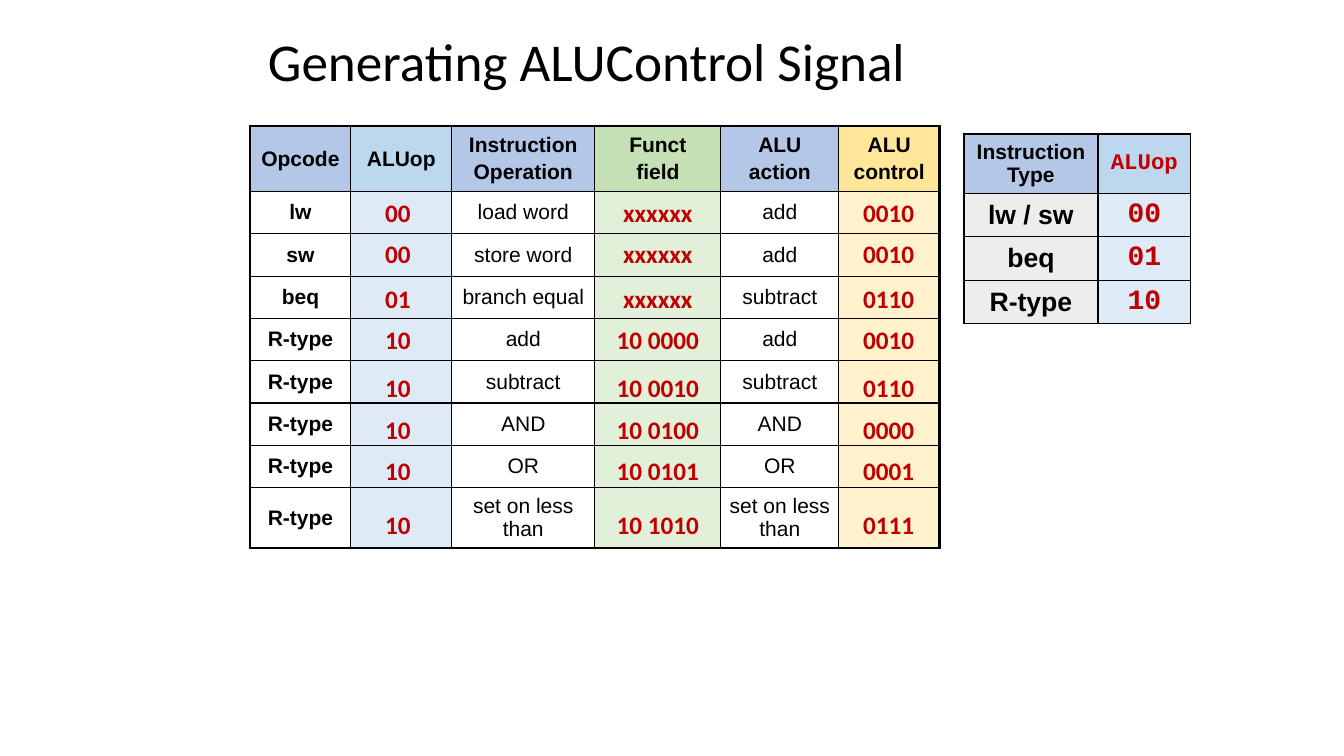
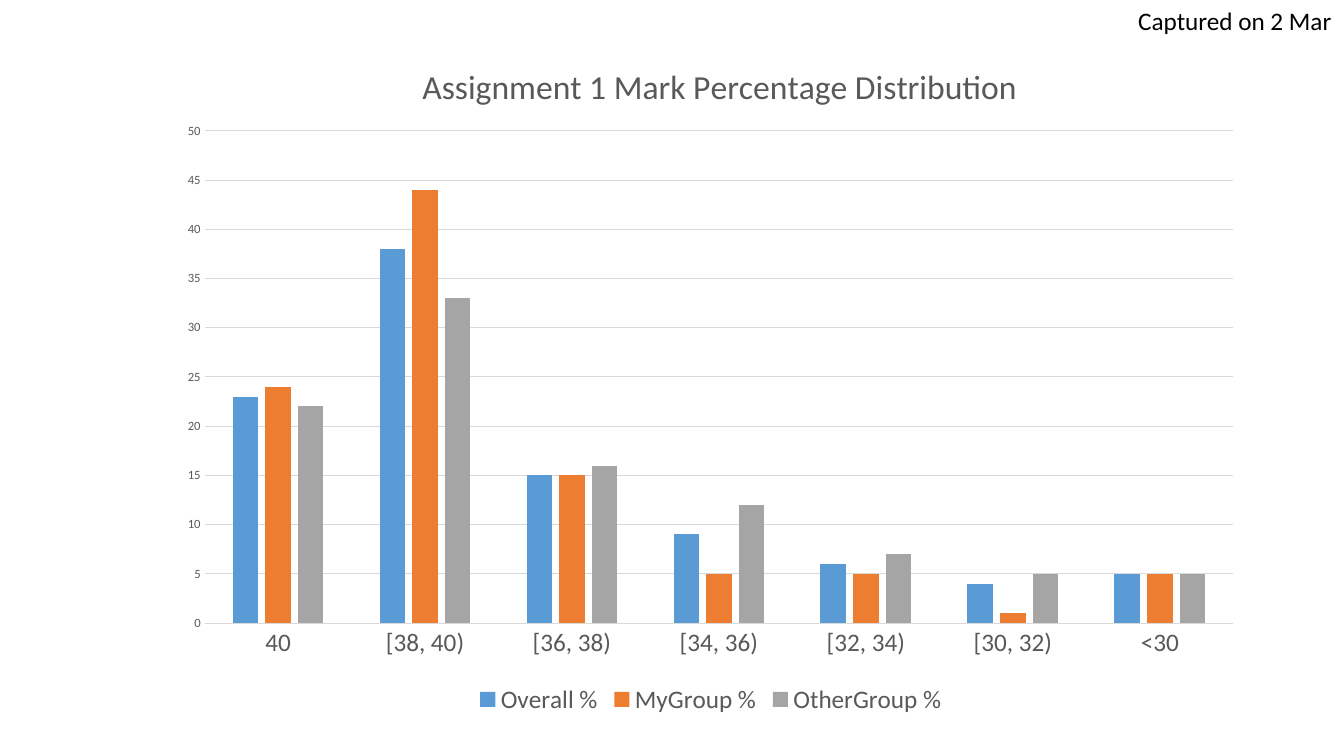
from dataclasses import dataclass

from lxml.etree import SubElement
from pptx import Presentation
from pptx.chart.data import CategoryChartData
from pptx.dml.color import RGBColor
from pptx.enum.chart import XL_CHART_TYPE, XL_LEGEND_POSITION, XL_TICK_MARK
from pptx.enum.text import MSO_ANCHOR, PP_ALIGN
from pptx.oxml import parse_xml
from pptx.oxml.ns import nsdecls, qn
from pptx.util import Inches, Pt

BLACK = RGBColor(0x00, 0x00, 0x00)
WHITE = RGBColor(0xFF, 0xFF, 0xFF)
RED = RGBColor(0xC0, 0x00, 0x00)
INDIGO = RGBColor(0xB4, 0xC7, 0xE7)
SKY = RGBColor(0xBD, 0xD7, 0xEE)
PALE_SKY = RGBColor(0xDE, 0xEB, 0xF7)
GREEN = RGBColor(0xC5, 0xE0, 0xB4)
PALE_GREEN = RGBColor(0xE2, 0xF0, 0xD9)
GOLD = RGBColor(0xFF, 0xE6, 0x99)
PALE_GOLD = RGBColor(0xFF, 0xF2, 0xCC)
PALE_GREY = RGBColor(0xED, 0xED, 0xED)
TEXT_GREY = RGBColor(0x59, 0x59, 0x59)
LINE_GREY = RGBColor(0xD9, 0xD9, 0xD9)
BLUE_BAR = RGBColor(0x5B, 0x9B, 0xD5)
ORANGE_BAR = RGBColor(0xED, 0x7D, 0x31)
GREY_BAR = RGBColor(0xA5, 0xA5, 0xA5)

BODY_FONT = "Calibri"
TABLE_FONT = "Arial"
CODE_FONT = "Courier New"
THICK, THIN = 2.25, 1


@dataclass(frozen=True)
class TextStyle:
    size: float
    font: str = BODY_FONT
    color: RGBColor = BLACK
    bold: bool = False


@dataclass(frozen=True)
class Column:
    width: float
    header: str
    header_fill: RGBColor
    body_fill: RGBColor
    header_style: TextStyle
    body_style: TextStyle


@dataclass(frozen=True)
class Grid:
    left: float
    top: float
    columns: list[Column]
    row_heights: list[float]
    rows: list[list[str]]
    thick_sides: str


@dataclass(frozen=True)
class CodeColumn:
    left: float
    width: float
    codes: list[str]


@dataclass(frozen=True)
class Series:
    name: str
    values: list[int]
    color: RGBColor


TITLE = TextStyle(38)
CODE = TextStyle(18, color=RED, bold=True)
HEADER = TextStyle(15, TABLE_FONT, bold=True)
PLAIN = TextStyle(15, TABLE_FONT)
TYPE_NAME = TextStyle(19, TABLE_FONT, bold=True)
CODE_HEADER = TextStyle(16, CODE_FONT, RED, True)
TYPE_CODE = TextStyle(20, CODE_FONT, RED, True)

CONTROL_GRID = Grid(
    2.48, 1.25,
    [
        Column(1, "Opcode", INDIGO, WHITE, HEADER, HEADER),
        Column(1, "ALUop", SKY, PALE_SKY, HEADER, PLAIN),
        Column(1.42, "Instruction\nOperation", INDIGO, WHITE, HEADER, PLAIN),
        Column(1.25, "Funct\nfield", GREEN, PALE_GREEN, HEADER, PLAIN),
        Column(1.17, "ALU\naction", INDIGO, WHITE, HEADER, PLAIN),
        Column(1, "ALU\ncontrol", GOLD, PALE_GOLD, HEADER, PLAIN),
    ],
    [0.65] + [0.42] * 7 + [0.6],
    [
        [opcode, "", operation, "", action, ""]
        for opcode, operation, action in [
            ("lw", "load word", "add"),
            ("sw", "store word", "add"),
            ("beq", "branch equal", "subtract"),
            ("R-type", "add", "add"),
            ("R-type", "subtract", "subtract"),
            ("R-type", "AND", "AND"),
            ("R-type", "OR", "OR"),
            ("R-type", "set on less than", "set on less than"),
        ]
    ],
    "LRTB",
)
TYPE_GRID = Grid(
    9.56, 1.33,
    [
        Column(1.33, "Instruction Type", INDIGO, PALE_GREY, HEADER, TYPE_NAME),
        Column(0.92, "ALUop", SKY, PALE_SKY, CODE_HEADER, TYPE_CODE),
    ],
    [0.59] + [0.43] * 3,
    [["lw / sw", "00"], ["beq", "01"], ["R-type", "10"]],
    "LT",
)

CODE_TOPS = [1.91, 2.32, 2.76, 3.17, 3.64, 4.06, 4.47, 5]
CODE_COLUMNS = [
    CodeColumn(3.57, 0.75, ["00", "00", "01"] + ["10"] * 5),
    CodeColumn(5.9, 1.25, ["xxxxxx"] * 3 + [
        "10 0000", "10 0010", "10 0100", "10 0101", "10 1010"]),
    CodeColumn(8.4, 0.83, ["0010", "0010", "0110", "0010",
                           "0110", "0000", "0001", "0111"]),
]

MARK_RANGES = ["40", "[38, 40)", "[36, 38)", "[34, 36)", "[32, 34)", "[30, 32)", "<30"]
MARK_SERIES = [
    Series("Overall %", [23, 38, 15, 9, 6, 4, 5], BLUE_BAR),
    Series("MyGroup %", [24, 44, 15, 5, 5, 1, 5], ORANGE_BAR),
    Series("OtherGroup %", [22, 33, 16, 12, 7, 5, 5], GREY_BAR),
]


def style_font(font, style: TextStyle) -> None:
    font.name = style.font
    font.size = Pt(style.size)
    font.bold = style.bold
    font.color.rgb = style.color


def add_text(slide, text: str, left: float, top: float, width: float, height: float,
             style: TextStyle, align=PP_ALIGN.LEFT, wrap: bool = True):
    box = slide.shapes.add_textbox(Inches(left), Inches(top), Inches(width), Inches(height))
    box.text_frame.word_wrap = wrap
    box.text_frame.text = text
    para = box.text_frame.paragraphs[0]
    para.alignment = align
    style_font(para.runs[0].font, style)
    return box


def set_borders(cell, thick_sides: str) -> None:
    properties = cell._tc.get_or_add_tcPr()
    for side in "LRTB":
        weight = THICK if side in thick_sides else THIN
        line = SubElement(properties, qn(f"a:ln{side}"), w=str(Pt(weight)))
        fill = SubElement(line, qn("a:solidFill"))
        SubElement(fill, qn("a:srgbClr"), val=str(BLACK))


def fill_cell(cell, text: str, fill: RGBColor, style: TextStyle, thick_sides: str) -> None:
    set_borders(cell, thick_sides)
    cell.fill.solid()
    cell.fill.fore_color.rgb = fill
    cell.vertical_anchor = MSO_ANCHOR.MIDDLE
    cell.margin_left = cell.margin_right = Inches(0.08)
    cell.margin_top = cell.margin_bottom = Inches(0.03)
    cell.text_frame.text = text
    for para in cell.text_frame.paragraphs:
        para.alignment = PP_ALIGN.CENTER
        para.space_before = Pt(style.size * 0.2)
        for span in para.runs:
            style_font(span.font, style)


def add_grid(slide, grid: Grid) -> None:
    last_row, last_column = len(grid.rows), len(grid.columns) - 1
    width = sum(column.width for column in grid.columns)
    table = slide.shapes.add_table(
        last_row + 1, last_column + 1, Inches(grid.left), Inches(grid.top),
        Inches(width), Inches(sum(grid.row_heights))).table
    table.first_row = table.horz_banding = False
    for row, height in zip(table.rows, grid.row_heights):
        row.height = Inches(height)
    for c, column in enumerate(grid.columns):
        table.columns[c].width = Inches(column.width)
        texts = [column.header] + [row[c] for row in grid.rows]
        for r, text in enumerate(texts):
            outer = {"L": c == 0, "R": c == last_column, "T": r == 0, "B": r == last_row}
            thick = "".join(side for side in grid.thick_sides if outer[side])
            fill = column.body_fill if r else column.header_fill
            style = column.body_style if r else column.header_style
            fill_cell(table.cell(r, c), text, fill, style, thick)


def place_in_chart(element, index: int, **fractions: float) -> None:
    """Fix a chart part's place, in fractions of the chart's size."""
    for old in element.findall(qn("c:layout")):
        element.remove(old)
    layout = parse_xml(f"<c:layout {nsdecls('c')}><c:manualLayout/></c:layout>")
    manual = layout[0]
    if "w" in fractions:
        SubElement(manual, qn("c:layoutTarget"), val="inner")
    for mode in ("xMode", "yMode"):
        SubElement(manual, qn(f"c:{mode}"), val="edge")
    for name, value in fractions.items():
        SubElement(manual, qn(f"c:{name}"), val=str(value))
    element.insert(index, layout)


def add_mark_chart(slide) -> None:
    data = CategoryChartData()
    data.categories = MARK_RANGES
    for series in MARK_SERIES:
        data.add_series(series.name, series.values)
    chart = slide.shapes.add_chart(
        XL_CHART_TYPE.COLUMN_CLUSTERED, Inches(1.64), Inches(0.3),
        Inches(10.82), Inches(6.84), data).chart
    style_font(chart.font, TextStyle(10))

    # Title and plot area
    chart.has_title = True
    title = chart.chart_title
    title.text_frame.text = "Assignment 1 Mark Percentage Distribution"
    style_font(title.text_frame.paragraphs[0].runs[0].font, TextStyle(24, color=TEXT_GREY))
    place_in_chart(title.element, 1, x=0.23, y=0.04)
    plot_area = chart.element.xpath("c:chart/c:plotArea")[0]
    place_in_chart(plot_area, 0, x=0.036, y=0.146, w=0.943, h=0.714)

    # Bars
    plot = chart.plots[0]
    plot.gap_width, plot.overlap = 219, -27
    plot.vary_by_categories = False
    for bars, series in zip(plot.series, MARK_SERIES):
        bars.format.fill.solid()
        bars.format.fill.fore_color.rgb = series.color

    # Axes
    marks, values = chart.category_axis, chart.value_axis
    for axis, size in ((marks, 18), (values, 9)):
        axis.major_tick_mark = axis.minor_tick_mark = XL_TICK_MARK.NONE
        style_font(axis.tick_labels.font, TextStyle(size, color=TEXT_GREY))
    values.minimum_scale, values.maximum_scale, values.major_unit = 0, 50, 5
    values.has_major_gridlines = True
    values.format.line.fill.background()
    for line in (marks.format.line, values.major_gridlines.format.line):
        line.color.rgb = LINE_GREY
        line.width = Pt(0.75)

    # Legend
    chart.has_legend = True
    chart.legend.position = XL_LEGEND_POSITION.BOTTOM
    chart.legend.include_in_layout = False
    style_font(chart.legend.font, TextStyle(18, color=TEXT_GREY))


def build_control_slide(slide) -> None:
    title = add_text(slide, "Generating ALUControl Signal", 2.56, 0.3, 9, 1.03, TITLE)
    title.text_frame.paragraphs[0].line_spacing = 0.9
    add_grid(slide, CONTROL_GRID)
    for column in CODE_COLUMNS:
        for top, code in zip(CODE_TOPS, column.codes):
            add_text(slide, code, column.left, top, column.width, 0.4, CODE, PP_ALIGN.CENTER)
    add_grid(slide, TYPE_GRID)


def build_marks_slide(slide) -> None:
    add_mark_chart(slide)
    add_text(slide, "Captured on 2 Mar", 11.19, 0, 2.14, 0.4, TextStyle(18), wrap=False)


def main() -> None:
    deck = Presentation()
    deck.slide_width, deck.slide_height = Inches(13.33), Inches(7.5)
    for build in (build_control_slide, build_marks_slide):
        build(deck.slides.add_slide(deck.slide_layouts[6]))
    deck.save("out.pptx")


if __name__ == "__main__":
    main()
